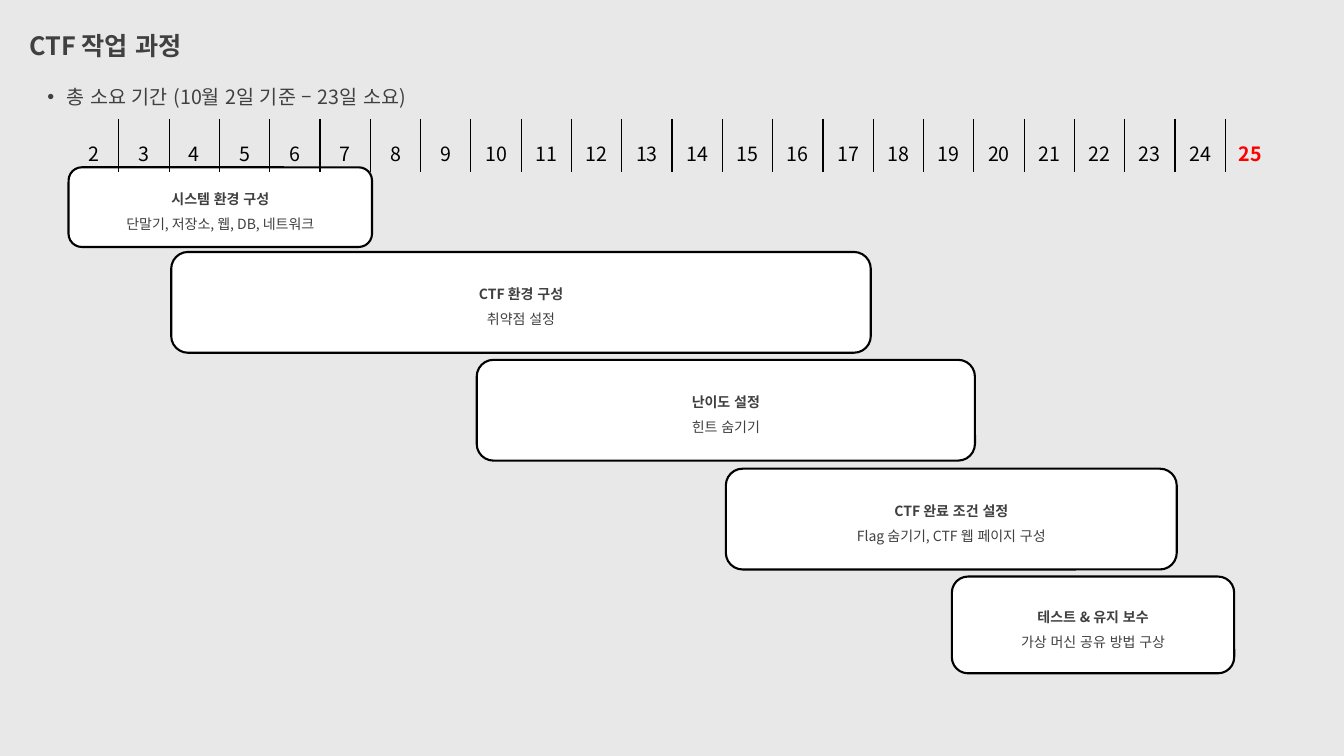
from lxml.etree import SubElement
from pptx import Presentation
from pptx.dml.color import RGBColor
from pptx.enum.lang import MSO_LANGUAGE_ID as LANG
from pptx.enum.shapes import MSO_SHAPE as SHAPE
from pptx.enum.text import MSO_ANCHOR as ANCHOR, PP_ALIGN as ALIGN
from pptx.oxml.ns import qn
from pptx.util import Inches, Pt

FONT = "Noto Sans CJK KR"
NO_STYLE = "{2D5ABB26-0587-4C30-8999-92F81FD0307C}"
PAPER = RGBColor(0xE8, 0xE8, 0xE8)
WHITE = RGBColor(0xFF, 0xFF, 0xFF)
BLACK = RGBColor(0, 0, 0)
GRAY = RGBColor(0x40, 0x40, 0x40)
RED = RGBColor(0xFF, 0, 0)

DAYS = range(2, 26)
CHART_LEFT = 0.68
DAY_WIDTH = 11.98 / len(DAYS)

TASKS = [
    (0, 6.03, 1.66, 0.79, "시스템 환경 구성", "단말기, 저장소, 웹, DB, 네트워크"),
    (2.04, 13.9, 2.5, 1, "CTF 환경 구성", "취약점 설정"),
    (8.11, 9.9, 3.57, 1, "난이도 설정", "힌트 숨기기"),
    (13.06, 8.96, 4.65, 1, "CTF 완료 조건 설정", "Flag 숨기기, CTF 웹 페이지 구성"),
    (17.55, 5.61, 5.72, 0.96, "테스트 & 유지 보수", "가상 머신 공유 방법 구상"),
]


def write(p, text, size, color=GRAY, bold=False, align=ALIGN.LEFT, spacing=0.9):
    p.text = text
    p.alignment = align
    p.line_spacing = spacing
    font = p.font
    font.name, font.size, font.bold = FONT, Pt(size), bold
    font.language_id = LANG.KOREAN
    font.color.rgb = color
    SubElement(font._element, qn("a:ea")).set("typeface", FONT)


def place(sp, left, top, width, height):
    sp.left, sp.top = Inches(left), Inches(top)
    sp.width, sp.height = Inches(width), Inches(height)


def add_heading(s, title, summary):
    sp = s.shapes.title
    place(sp, 0.19, 0.2, 12.95, 0.54)
    sp.text_frame.vertical_anchor = ANCHOR.MIDDLE
    write(sp.text_frame.paragraphs[0], title, 18, bold=True)

    body = s.placeholders[1]
    place(body, 0.37, 0.82, 12.6, 6.19)
    p = body.text_frame.paragraphs[0]
    write(p, summary, 14)
    p.space_before = Pt(10)
    pPr = p._p.get_or_add_pPr()
    pPr.set("marL", str(Inches(0.19)))
    pPr.set("indent", str(-Inches(0.19)))


def add_border(cell, side):
    ln = SubElement(cell._tc.get_or_add_tcPr(), qn(f"a:{side}"), w=str(Pt(1)))
    fill = SubElement(ln, qn("a:solidFill"))
    SubElement(fill, qn("a:srgbClr"), val=str(BLACK))


def add_days(s, left, top, height):
    frame = s.shapes.add_table(1, len(DAYS), Inches(left), Inches(top),
                               Inches(DAY_WIDTH * len(DAYS)), Inches(height))
    table = frame.table
    table.first_row = table.horz_banding = False
    table._tbl.tblPr.find(qn("a:tableStyleId")).text = NO_STYLE
    for i, day in enumerate(DAYS):
        table.columns[i].width = Inches(DAY_WIDTH)
        cell = table.cell(0, i)
        last = day == DAYS[-1]
        cell.vertical_anchor = ANCHOR.MIDDLE
        write(cell.text_frame.paragraphs[0], str(day), 14, RED if last else BLACK,
              last, ALIGN.CENTER, 1.5)
        if i:
            add_border(cell, "lnL")
        if not last:
            add_border(cell, "lnR")
        cell.fill.background()


def add_task(s, start, length, top, height, name, detail):
    sp = s.shapes.add_shape(SHAPE.ROUNDED_RECTANGLE,
                            Inches(CHART_LEFT + start * DAY_WIDTH), Inches(top),
                            Inches(length * DAY_WIDTH), Inches(height))
    sp.shadow.inherit = False
    sp.fill.solid()
    sp.fill.fore_color.rgb = WHITE
    sp.line.color.rgb = BLACK
    sp.line.width = Pt(1.5)
    tf = sp.text_frame
    tf.word_wrap = True
    tf.vertical_anchor = ANCHOR.MIDDLE
    write(tf.paragraphs[0], name, 10, bold=True, align=ALIGN.CENTER, spacing=1.5)
    write(tf.add_paragraph(), detail, 10, align=ALIGN.CENTER, spacing=1.5)


def main():
    prs = Presentation()
    prs.slide_width, prs.slide_height = Inches(13.33), Inches(7.5)
    s = prs.slides.add_slide(prs.slide_layouts[1])
    s.background.fill.solid()
    s.background.fill.fore_color.rgb = PAPER
    add_heading(s, "CTF 작업 과정", "총 소요 기간 (10월 2일 기준 – 23일 소요)")
    for task in TASKS:
        add_task(s, *task)
    add_days(s, CHART_LEFT, 1.18, 0.41)
    prs.save("out.pptx")


if __name__ == "__main__":
    main()
